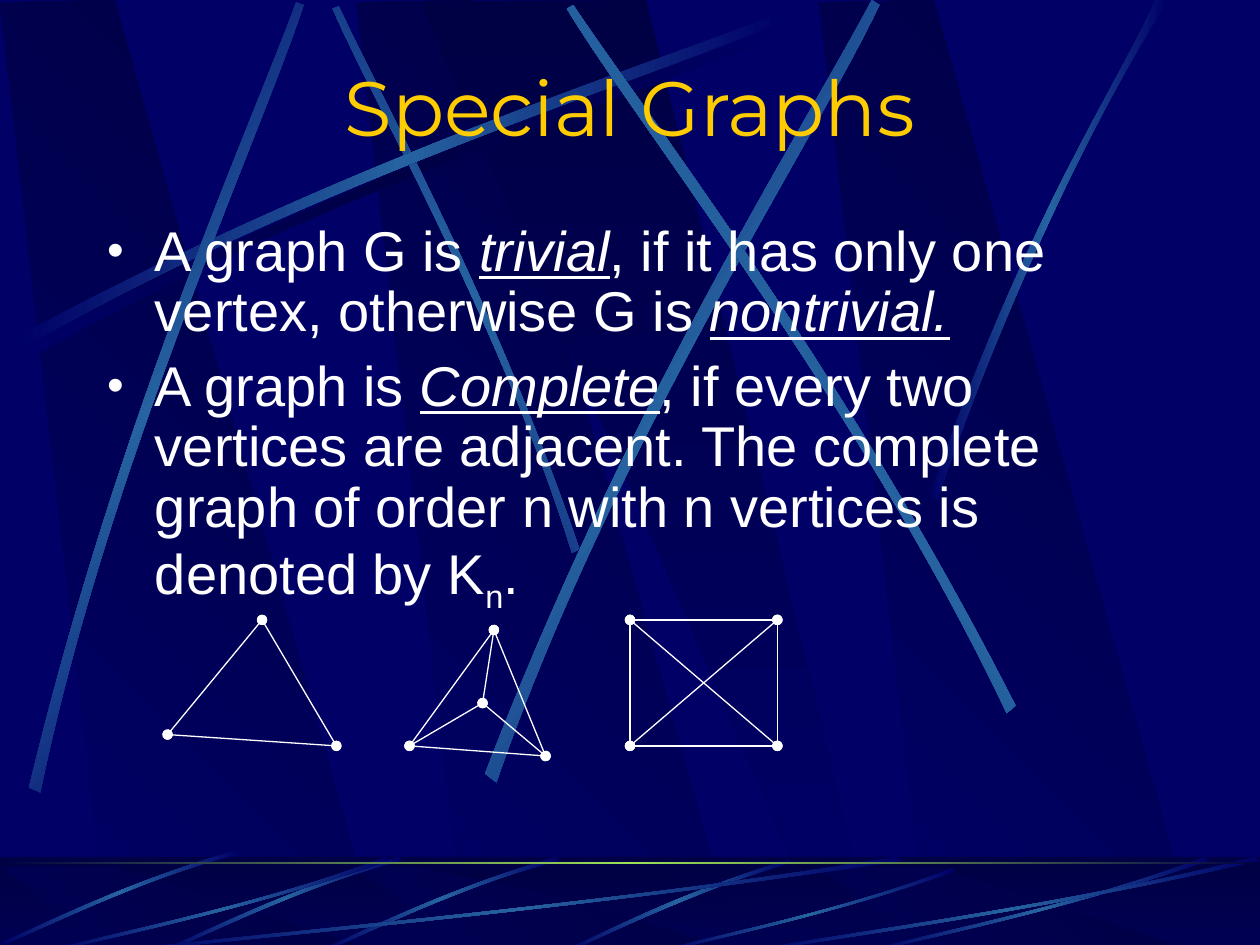
"""Build the Special Graphs slide: complete graphs over a streaked blue background."""
from lxml.etree import SubElement
from pptx import Presentation
from pptx.dml.color import RGBColor
from pptx.enum.shapes import MSO_CONNECTOR, MSO_SHAPE
from pptx.enum.text import MSO_ANCHOR, MSO_AUTO_SIZE, PP_ALIGN
from pptx.oxml.ns import qn
from pptx.util import Inches, Pt

COLORS = {"base": "000066", "deep": "000044", "streak": "2663A0", "rule": "9CE157",
          "title": "FFCC00", "text": "FFFFFF"}
WIDTH, HEIGHT = 10, 7.5
FOOT, FOOT_DEPTH = 6.8, 0.75

TITLE = [[("Special Graphs", "")]]
BODY = [
    [("A graph G is ", ""), ("trivial", "em"),
     (", if it has only one vertex, otherwise G is ", ""), ("nontrivial.", "em")],
    [("A graph is ", ""), ("Complete", "em"),
     (", if every two vertices are adjacent. The complete graph of order n "
      "with n vertices is denoted by K", ""), ("n", "sub"), (".", "")],
]
GRAPHS = [
    [(2.08, 4.92), (1.33, 5.83), (2.67, 5.92)],
    [(3.92, 5), (3.25, 5.92), (4.33, 6), (3.83, 5.58)],
    [(5, 4.92), (5, 5.92), (6.17, 5.92), (6.17, 4.92)],
]

PANEL = [(0.86, 7.5), (3.02, 7.52), (0.91, 0), (0, 0.02)]
PANEL_SHIFTS = [2.83, 0, 6.5]
WEDGE = [(3.33, 0.01), (6.58, 7.51), (6.94, 7.51), (5.13, 0)]

CROSS_STREAK = [(0.14, 2.67), (2.78, 1.25), (5.18, 0.51), (6.2, 0.1),
                (6.23, 0.16), (5.22, 0.61), (2.48, 1.43), (0.17, 2.77)]
CROSS_SHADE = [(x + 0.06, y + 0.08) for x, y in CROSS_STREAK]
STREAKS = [
    (45, [(4.6, 4.36), (3.91, 2.34), (3.02, 0.77), (2.69, 0.05),
          (2.64, 0.07), (2.95, 0.79), (3.98, 2.58), (4.54, 4.39)]),
    (0, CROSS_STREAK),
    (311.7, [(0.23, 6.25), (0.93, 3.34), (1.97, 1.05), (2.35, 0.02),
             (2.41, 0.04), (2.07, 1.08), (0.86, 3.68), (0.32, 6.29)]),
    (321.6, [(3.85, 6.14), (4.98, 3.2), (6.38, 1.02), (6.92, 0),
             (6.98, 0.04), (6.49, 1.08), (4.86, 3.55), (3.94, 6.21)]),
    (34.8, [(8.06, 5.6), (6.7, 2.93), (5.16, 0.95), (4.55, 0.04),
            (4.5, 0.07), (5.07, 1.01), (6.85, 3.25), (7.99, 5.66)]),
    (0, [(7.38, 3.93), (8.14, 1.73), (8.88, 0.66), (9.17, 0),
         (9.27, 0), (8.36, 1.45), (7.69, 3.22), (7.44, 3.97)]),
]
FOOT_STREAK = [(6.27, 6.82), (5.37, 7.09), (4.77, 7.42), (4.48, 7.54),
               (4.53, 7.55), (4.9, 7.37), (5.71, 7), (6.28, 6.85)]
FOOT_TILTED = [(4.42, 6.8), (3.55, 7.05), (2.87, 7.4), (2.56, 7.53),
               (2.57, 7.55), (2.88, 7.43), (3.65, 7.03), (4.44, 6.83)]
FOOT_TILTED_SHIFTS = [(0, 0), (-1.25, 0), (-2.55, -0.05)]
FOOT_SWEEP = [(1, 0.04), (0.57, 0.57), (0.17, 0.85), (0.01, 1),
              (0, 0.98), (0.17, 0.81), (0.62, 0.51), (0.99, 0)]
FOOT_SWEEP_AREAS = [(1, FOOT, 6.17, 0.75), (0.42, FOOT, 2.67, 0.75), (5.27, 6.89, 2.31, 0.66),
                    (6.92, FOOT, 2.67, 0.75), (6, FOOT, 4, 0.75)]

deck = Presentation()
deck.slide_width, deck.slide_height = Inches(WIDTH), Inches(HEIGHT)
slide = deck.slides.add_slide(deck.slide_layouts[1])
shapes = slide.shapes
slide.background.fill.solid()
slide.background.fill.fore_color.rgb = RGBColor.from_string(COLORS["base"])


def paint(shape, stops, angle=0, alpha=100):
    """Fill a shape with evenly spaced colour stops."""
    shape.shadow.inherit = False
    shape.line.fill.background()
    shape.fill.gradient()
    gradient = shape._element.spPr.find(qn("a:gradFill"))
    stop_list = gradient.find(qn("a:gsLst"))
    for stop in list(stop_list):
        stop_list.remove(stop)
    for index, name in enumerate(stops):
        stop = SubElement(stop_list, qn("a:gs"), pos=str(index * 100000 // (len(stops) - 1)))
        color = SubElement(stop, qn("a:srgbClr"), val=COLORS[name])
        if alpha < 100:
            SubElement(color, qn("a:alpha"), val=str(alpha * 1000))
    gradient.find(qn("a:lin")).set("ang", str(round(angle * 60000)))


def outline(points, stops, angle=0):
    """Draw a closed gradient outline through points in inches."""
    corners = [(Inches(x), Inches(y)) for x, y in points]
    builder = shapes.build_freeform(*corners[0], scale=1.0)
    builder.add_line_segments(corners[1:], close=True)
    shape = builder.convert_to_shape()
    paint(shape, stops, angle)
    return shape


def streak(controls, turn=0, middle="streak"):
    """Draw a blade between two cubic curves, fading at its ends."""
    shape = outline(controls, ("base", middle, "base"), -turn % 360)
    segments = list(shape._element.iter(qn("a:lnTo")))
    for first, second, last in (segments[:3], segments[4:7]):
        first.tag = qn("a:cubicBezTo")
        for segment in (second, last):
            first.append(segment[0])
            segment.getparent().remove(segment)


def band(top, depth, stops, angle=0, alpha=100):
    """Draw a full-width rectangle."""
    area = (Inches(v) for v in (0, top, WIDTH, depth))
    paint(shapes.add_shape(MSO_SHAPE.RECTANGLE, *area), stops, angle, alpha)


def panels(top=0.0, scale=1.0):
    """Draw the slanted panels and the wedge between them."""
    for shift in PANEL_SHIFTS:
        outline([(x + shift, top + y * scale) for x, y in PANEL], ("base", "deep"), 315)
    outline([(x, top + y * scale) for x, y in WEDGE], ("deep", "base"), 90)


def write(box, paragraphs, size, color, area, font="Arial", align=PP_ALIGN.LEFT,
          anchor=MSO_ANCHOR.TOP, top_inset=0.05, bullets=False):
    """Write paragraphs of (text, style) runs into a box."""
    box.left, box.top, box.width, box.height = (Inches(v) for v in area)
    frame = box.text_frame
    frame.word_wrap, frame.auto_size = True, MSO_AUTO_SIZE.NONE
    frame.vertical_anchor, frame.margin_top = anchor, Inches(top_inset)
    for index, runs in enumerate(paragraphs):
        paragraph = frame.add_paragraph() if index else frame.paragraphs[0]
        paragraph.alignment = align
        paragraph.space_before = Pt(8 if index else 0)
        if bullets:
            paragraph.line_spacing = 0.9
            props = paragraph._p.get_or_add_pPr()
            props.set("marL", str(Inches(0.38)))
            props.set("indent", str(Inches(-0.38)))
            SubElement(SubElement(props, qn("a:buClr")), qn("a:srgbClr"), val=COLORS[color])
            SubElement(props, qn("a:buSzPct"), val="85000")
            SubElement(props, qn("a:buChar"), char="•")
        for text, style in runs:
            run = paragraph.add_run()
            run.text = text
            run.font.size, run.font.name = Pt(size), font
            run.font.color.rgb = RGBColor.from_string(COLORS[color])
            if style == "em":
                run.font.italic = run.font.underline = True
            elif style == "sub":
                run.font._element.set("baseline", "-25000")


def edge(start, end):
    """Join two vertices with a line dotted at both ends."""
    ends = (Inches(v) for v in (*start, *end))
    line = shapes.add_connector(MSO_CONNECTOR.STRAIGHT, *ends)
    line.line.width = Pt(0.75)
    line.line.color.rgb = RGBColor.from_string(COLORS["text"])
    for tip in ("a:headEnd", "a:tailEnd"):
        SubElement(line.line._get_or_add_ln(), qn(tip), type="oval")
    SubElement(line._element.spPr, qn("a:effectLst"))


panels()
streak(CROSS_SHADE, middle="deep")
for turn, controls in STREAKS:
    streak(controls, turn)
band(FOOT, FOOT_DEPTH, ("deep", "base"), 90)
panels(6.88, 0.09)
band(FOOT, FOOT_DEPTH, ("deep", "deep"), alpha=50)
streak(FOOT_STREAK)
for dx, dy in FOOT_TILTED_SHIFTS:
    streak([(x + dx, y + dy) for x, y in FOOT_TILTED])
for left, top, width, depth in FOOT_SWEEP_AREAS:
    streak([(left + x * width, top + y * depth) for x, y in FOOT_SWEEP])
band(6.84, 0.02, ("deep", "rule", "deep"))

heading, body = shapes.title, slide.placeholders[1]
for placeholder in (heading, body):
    shapes._spTree.append(placeholder._element)
write(heading, TITLE, 44, "title", (0.75, 0.42, 8.5, 0.83), font="Montserrat",
      align=PP_ALIGN.CENTER, anchor=MSO_ANCHOR.MIDDLE)
write(body, BODY, 32, "text", (0.75, 1.42, 8.5, 3.67), top_inset=0.35, bullets=True)

for vertices in GRAPHS:
    for index, start in enumerate(vertices):
        for end in vertices[index + 1:]:
            edge(start, end)

deck.save("out.pptx")
